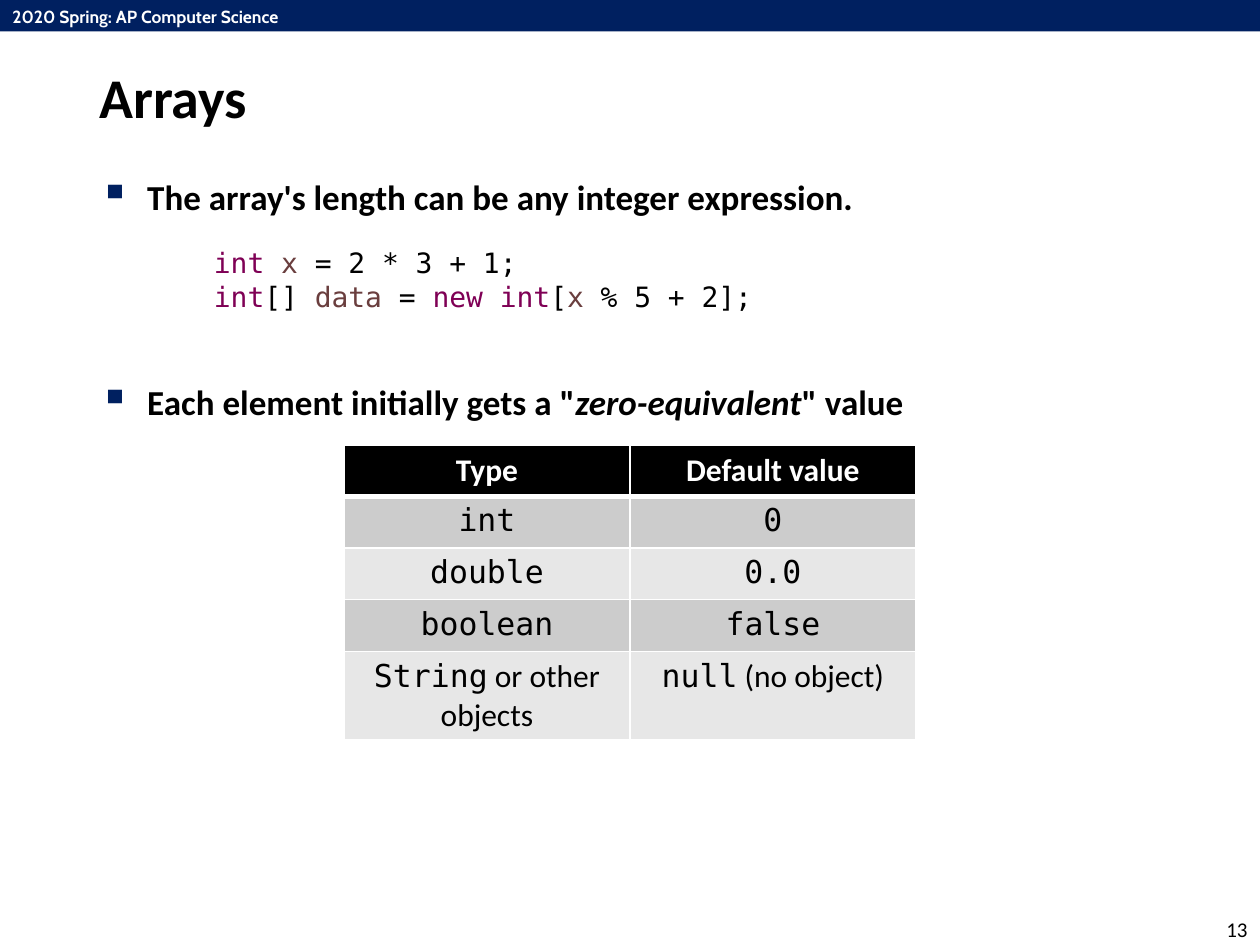
import dataclasses
import typing

import pptx
import pptx.dml.color
import pptx.enum.shapes
import pptx.enum.text
import pptx.oxml
import pptx.oxml.ns
import pptx.util

RGB = pptx.dml.color.RGBColor
ALIGN = pptx.enum.text.PP_ALIGN
ANCHOR = pptx.enum.text.MSO_ANCHOR

NAVY = RGB(0x00, 0x20, 0x60)
WHITE = RGB(0xFF, 0xFF, 0xFF)
BLACK = RGB(0x00, 0x00, 0x00)
PLUM = RGB(0x7F, 0x00, 0x55)
BROWN = RGB(0x6A, 0x3E, 0x3E)
BANDS = (RGB(0xCC, 0xCC, 0xCC), RGB(0xE7, 0xE7, 0xE7))

WIDE = pptx.util.Inches(10)
HIGH = pptx.util.Inches(7.5)
SANS = "Calibri"
MONO = "DejaVu Sans Mono"


@dataclasses.dataclass(frozen=True)
class Run:
    text: str
    size: float
    color: RGB = BLACK
    name: str = SANS
    bold: bool = False
    italic: bool = False


@dataclasses.dataclass(frozen=True)
class Para:
    runs: tuple[Run, ...]
    form: dict[str, typing.Any] = dataclasses.field(default_factory=dict)
    bullet: bool = False


@dataclasses.dataclass(frozen=True)
class Area:
    """A place on the slide, in percent of its width and height."""
    left: float
    top: float
    width: float
    height: float

    def box(self) -> tuple[int, int, int, int]:
        return (int(WIDE * self.left / 100), int(HIGH * self.top / 100),
                int(WIDE * self.width / 100), int(HIGH * self.height / 100))


def apply(item: typing.Any, form: dict[str, typing.Any]) -> None:
    for key, value in form.items():
        setattr(item, key, value)


def add_node(parent: typing.Any, xml: str) -> None:
    space = pptx.oxml.ns.nsdecls("a")
    parent.append(pptx.oxml.parse_xml(xml.replace(" ", f" {space} ", 1)))


def add_mark(para: typing.Any) -> None:
    props = para._p.get_or_add_pPr()
    indent = pptx.util.Inches(0.38)
    props.set("marL", str(indent))
    props.set("indent", str(-indent))
    add_node(props, f'<a:buClr ><a:srgbClr val="{NAVY}"/></a:buClr>')
    add_node(props, '<a:buSzPct val="120000"/>')
    add_node(props, '<a:buChar char="▪"/>')


def write(frame: typing.Any, paras: typing.Sequence[Para]) -> None:
    for row, para in enumerate(paras):
        line = frame.add_paragraph() if row else frame.paragraphs[0]
        apply(line, para.form)
        if para.bullet:
            add_mark(line)
        for run in para.runs:
            part = line.add_run()
            part.text = run.text
            apply(part.font, {"name": run.name, "size": pptx.util.Pt(run.size),
                              "bold": run.bold, "italic": run.italic})
            part.font.color.rgb = run.color


def add_text(slide: typing.Any, area: Area, *paras: Para, **form: typing.Any) -> None:
    frame = slide.shapes.add_textbox(*area.box()).text_frame
    apply(frame, {"word_wrap": True, **form})
    write(frame, paras)


def add_edge(cell: typing.Any, side: str, width: float) -> None:
    add_node(cell._tc.get_or_add_tcPr(),
             f'<a:ln{side} w="{pptx.util.Pt(width)}"><a:solidFill>'
             f'<a:srgbClr val="{WHITE}"/></a:solidFill></a:ln{side}>')


def add_grid(slide: typing.Any, area: Area, rows: typing.Sequence[typing.Any]) -> None:
    table = slide.shapes.add_table(len(rows), len(rows[0]), *area.box()).table
    apply(table, {"first_row": False, "horz_banding": False})
    for row, cells in enumerate(rows):
        # The last row holds two lines of text
        last = row == len(rows) - 1
        table.rows[row].height = pptx.util.Inches(0.68 if last else 0.41)
        for col, runs in enumerate(cells):
            cell = table.cell(row, col)
            for side in "LRTB":
                thick = (row, side) in ((0, "B"), (1, "T"))
                add_edge(cell, side, 3 if thick else 1)
            cell.fill.solid()
            cell.fill.fore_color.rgb = BANDS[(row - 1) % 2] if row else BLACK
            write(cell.text_frame, [Para(runs, {"alignment": ALIGN.CENTER})])


def head(text: str) -> tuple[Run, ...]:
    return (Run(text, 18, WHITE, bold=True),)


def entry(code: str, note: str = "") -> tuple[Run, ...]:
    runs = (Run(code, 18, name=MONO), Run(note, 18))
    return runs if note else runs[:1]


def code(*parts: tuple[str, RGB]) -> Para:
    return Para(tuple(Run(text, 16, color, MONO) for text, color in parts))


def point(gap: float, *runs: Run) -> Para:
    return Para(runs, {"line_spacing": 1.2, "space_before": pptx.util.Pt(gap)}, True)


def strong(text: str, italic: bool = False) -> Run:
    return Run(text, 20, bold=True, italic=italic)


def main() -> None:
    deck = pptx.Presentation()
    apply(deck, {"slide_width": WIDE, "slide_height": HIGH})
    slide = deck.slides.add_slide(deck.slide_layouts[6])

    # Course banner
    bar = slide.shapes.add_shape(pptx.enum.shapes.MSO_SHAPE.RECTANGLE,
                                 *Area(0, 0, 100, 3.33).box())
    bar.shadow.inherit = False
    bar.fill.solid()
    bar.fill.fore_color.rgb = NAVY
    bar.line.fill.background()
    add_text(slide, Area(0, 0, 23.1, 3.6),
             Para((Run("2020 Spring: AP Computer Science", 10, WHITE, "Cabin", True),)),
             word_wrap=False)

    # Page number and title
    add_text(slide, Area(93.7, 96.67, 6.3, 3.33),
             Para((Run("13", 12),), {"alignment": ALIGN.RIGHT}),
             vertical_anchor=ANCHOR.MIDDLE)
    add_text(slide, Area(6.9, 5.33, 86.2, 9.73),
             Para((Run("Arrays", 32, bold=True),)),
             vertical_anchor=ANCHOR.MIDDLE)

    # Bullets, with room for the code between them
    add_text(slide, Area(6.9, 17.07, 86.2, 77.73),
             point(10, strong("The array's length can be any integer expression.")),
             point(88, strong('Each element initially gets a "'),
                   strong("zero-equivalent", True), strong('" value')))

    # Code sample
    add_text(slide, Area(16, 25.33, 50, 8.53),
             code(("int ", PLUM), ("x", BROWN), (" = 2 * 3 + 1;", BLACK)),
             code(("int", PLUM), ("[] ", BLACK), ("data", BROWN), (" = ", BLACK),
                  ("new int", PLUM), ("[", BLACK), ("x", BROWN), (" % 5 + 2];", BLACK)))

    # Default values
    add_grid(slide, Area(27.3, 47.07, 45.4, 30.93), [
        (head("Type"), head("Default value")),
        (entry("int"), entry("0")),
        (entry("double"), entry("0.0")),
        (entry("boolean"), entry("false")),
        (entry("String", " or other objects"), entry("null", " (no object)")),
    ])
    deck.save("out.pptx")


if __name__ == "__main__":
    main()
